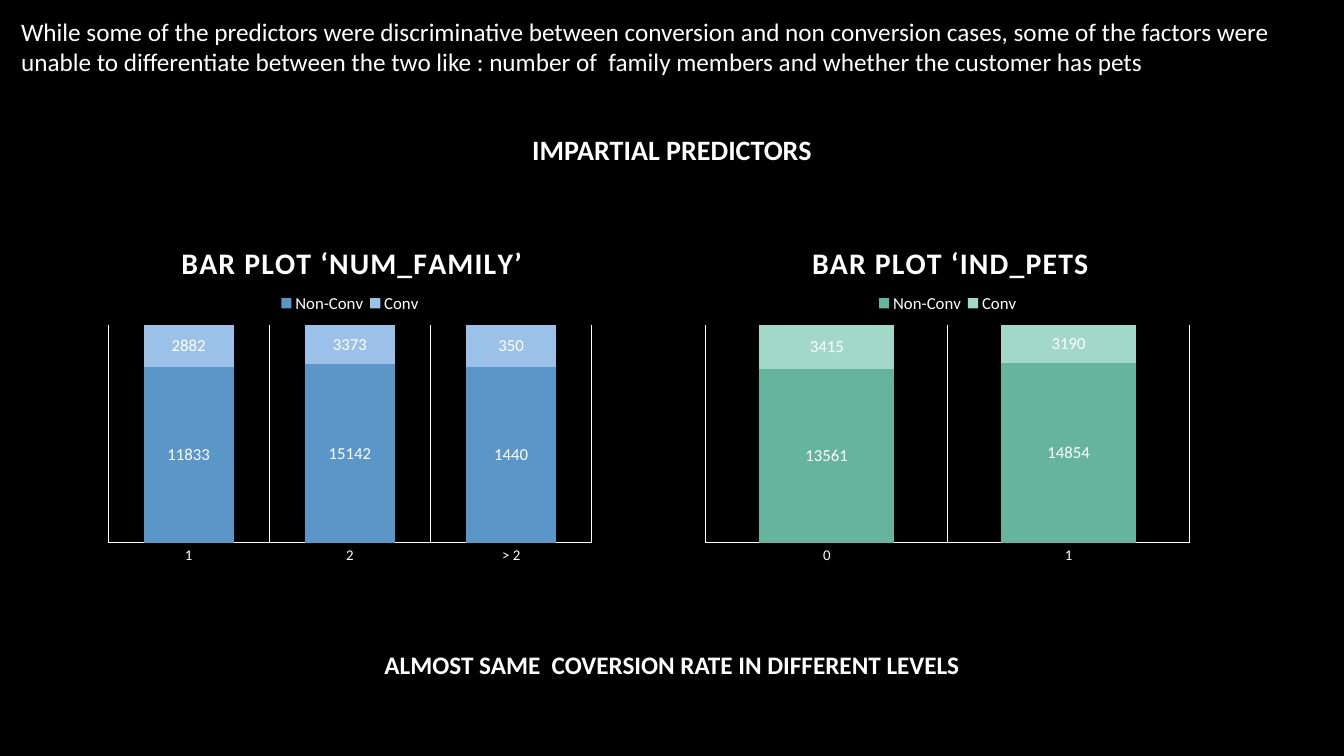
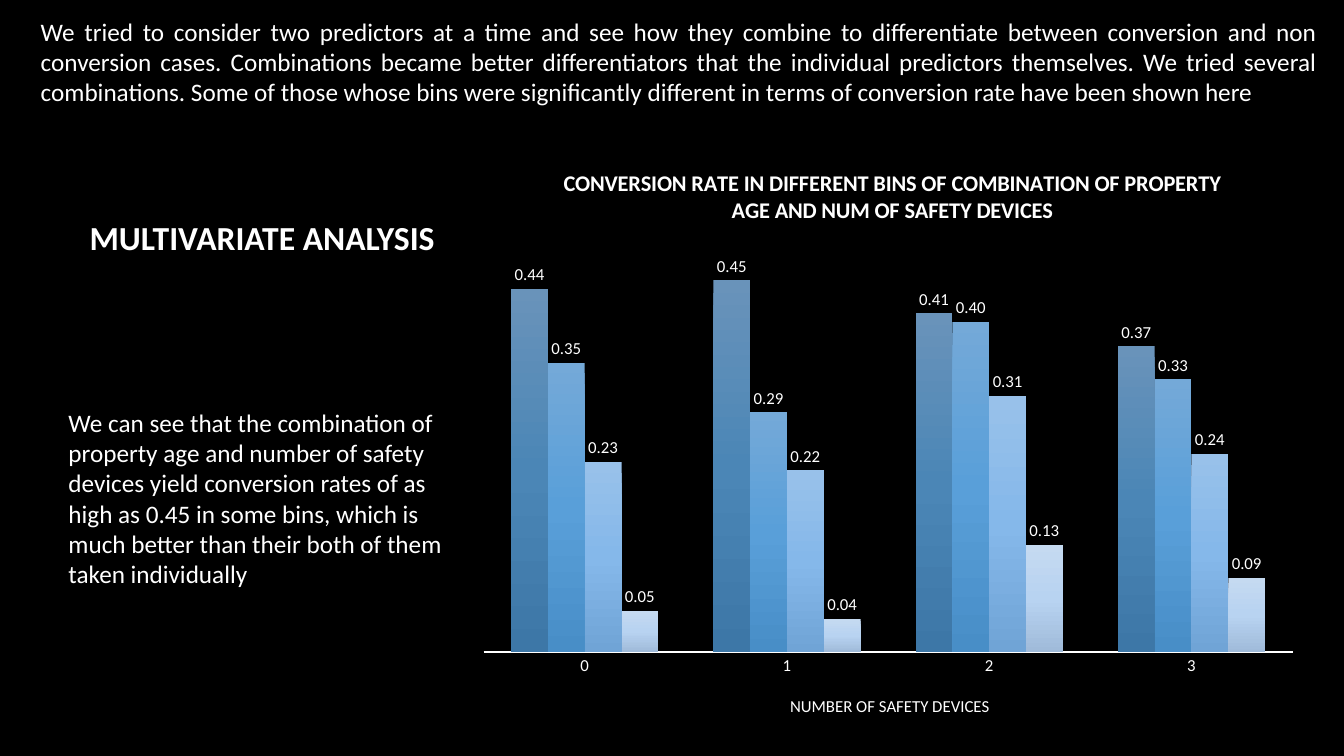
from dataclasses import dataclass

from pptx import Presentation
from pptx.chart.data import CategoryChartData
from pptx.dml.color import RGBColor
from pptx.enum.chart import XL_CHART_TYPE, XL_LABEL_POSITION, XL_LEGEND_POSITION, XL_TICK_MARK
from pptx.enum.text import PP_ALIGN
from pptx.oxml import parse_xml
from pptx.oxml.ns import nsdecls, qn
from pptx.util import Pt


@dataclass(frozen=True)
class Theme:
    font: str = "Calibri"
    back: str = "000000"
    text: str = "FFFFFF"
    blues: tuple = ("5A96C8", "9CC1E8")
    greens: tuple = ("66B49E", "A2D8C7")
    gradients: tuple = (
        ("6993BA", "4B86B6", "3D77A7"),
        ("74A9D8", "599FD9", "488EC7"),
        ("98C1EA", "85B8EA", "70A4D6"),
        ("C5DAF1", "B8D3F1", "A0BBDA"),
    )
    heading: float = 24
    subheading: float = 20
    body: float = 18
    plot_title: float = 21.3
    rate_title: float = 16
    label: float = 12
    level: float = 10.6


T = Theme()


def rgb(value):
    return RGBColor.from_string(value)


def style(font, size, bold=False):
    font.name = T.font
    font.size = Pt(size)
    font.bold = bold
    font.color.rgb = rgb(T.text)


def new_slide(prs):
    s = prs.slides.add_slide(prs.slide_layouts[6])
    s.background.fill.solid()
    s.background.fill.fore_color.rgb = rgb(T.back)
    return s


def add_text(s, box, text, size=T.body, bold=False, align=PP_ALIGN.LEFT):
    tf = s.shapes.add_textbox(*map(Pt, box)).text_frame
    tf.word_wrap = True
    write(tf, text, size, bold).alignment = align


def write(tf, text, size, bold=False):
    p = tf.paragraphs[0]
    r = p.add_run()
    r.text = text
    style(r.font, size, bold)
    return p


def place(part, after, x, y, w=None, h=None):
    """Give a chart part a manual layout, in fractions of the chart, after the named child."""
    for old in part.findall(qn("c:layout")):
        part.remove(old)
    inner = '<c:layoutTarget val="inner"/>' if after is None else ""
    sizes = "" if w is None else f'<c:w val="{w}"/><c:h val="{h}"/>'
    layout = parse_xml(
        f'<c:layout {nsdecls("c")}><c:manualLayout>{inner}<c:xMode val="edge"/>'
        f'<c:yMode val="edge"/><c:x val="{x}"/><c:y val="{y}"/>{sizes}'
        "</c:manualLayout></c:layout>"
    )
    if after is None:
        part.insert(0, layout)
    else:
        part.find(qn(after)).addnext(layout)


def add_title(owner, text, size, bold, x, y):
    """Title a chart or an axis at a fixed place and return its paragraph."""
    p = write(owner.text_frame, text, size, bold)
    place(owner._element, "c:tx", x, y)
    return p


def fill_gradient(series, colors):
    stops = "".join(
        f'<a:gs pos="{i * 50000}"><a:srgbClr val="{c}"/></a:gs>' for i, c in enumerate(colors)
    )
    series._element.get_or_add_spPr().insert(0, parse_xml(
        f'<a:gradFill {nsdecls("a")} rotWithShape="1"><a:gsLst>{stops}</a:gsLst>'
        '<a:lin ang="5400000" scaled="0"/></a:gradFill>'
    ))


def add_columns(s, box, kind, cats, rows, colors, gap, number_format, position, plot_area):
    """Add a column chart with labelled series and a bare category axis."""
    data = CategoryChartData(number_format=number_format)
    data.categories = cats
    for name, values in rows:
        data.add_series(name, values)
    chart = s.shapes.add_chart(kind, *map(Pt, box), data).chart
    style(chart.font, T.label)
    chart.has_legend = False
    place(chart._chartSpace.chart.plotArea, None, *plot_area)

    plot = chart.plots[0]
    plot.vary_by_categories = False
    plot.gap_width = gap
    for series, color in zip(plot.series, colors):
        series.invert_if_negative = False
        if isinstance(color, tuple):
            fill_gradient(series, color)
        else:
            series.format.fill.solid()
            series.format.fill.fore_color.rgb = rgb(color)
        labels = series.data_labels
        labels.show_value = True
        labels.number_format = number_format
        labels.number_format_is_linked = False
        labels.position = position
        style(labels.font, T.label)

    chart.value_axis.visible = False
    chart.value_axis.has_major_gridlines = False
    axis = chart.category_axis
    axis.major_tick_mark = axis.minor_tick_mark = XL_TICK_MARK.NONE
    axis.format.line.color.rgb = rgb(T.text)
    axis.format.line.width = Pt(0.75)
    style(axis.tick_labels.font, T.label)
    return chart


def bar_plot(s, box, title, title_x, cats, non_conv, conv, colors):
    chart = add_columns(
        s, box, XL_CHART_TYPE.COLUMN_STACKED_100, cats,
        [("Non-Conv", non_conv), ("Conv", conv)], colors, 79, "General",
        XL_LABEL_POSITION.CENTER, (0.02, 0.305, 0.96, 0.61),
    )
    chart.plots[0].overlap = 100
    p = add_title(chart.chart_title, title, T.plot_title, True, title_x, 0.06)
    p.runs[0].font._element.set("spc", "100")
    chart.has_legend = True
    chart.legend.position = XL_LEGEND_POSITION.TOP
    chart.legend.include_in_layout = False
    style(chart.legend.font, T.label)
    place(chart.legend._element, "c:legendPos", 0.35, 0.21, 0.3, 0.07)
    axis = chart.category_axis
    style(axis.tick_labels.font, T.level)
    axis.has_major_gridlines = True
    axis.major_gridlines.format.line.color.rgb = rgb(T.text)
    axis.major_gridlines.format.line.width = Pt(0.75)


def rate_chart(s, box):
    rates = [
        (0.44, 0.45, 0.41, 0.37),
        (0.35, 0.29, 0.40, 0.33),
        (0.23, 0.22, 0.31, 0.24),
        (0.05, 0.04, 0.13, 0.09),
    ]
    rows = [(f"Series {i}", values) for i, values in enumerate(rates, 1)]
    chart = add_columns(
        s, box, XL_CHART_TYPE.COLUMN_CLUSTERED, ["0", "1", "2", "3"], rows,
        T.gradients, 150, "#,##0.00", XL_LABEL_POSITION.OUTSIDE_END,
        (0.02, 0.163, 0.96, 0.7),
    )
    chart.plots[0].overlap = 0
    chart.value_axis.minimum_scale = 0
    chart.value_axis.maximum_scale = 0.5
    chart.category_axis.format.line.width = Pt(1)
    add_title(
        chart.chart_title,
        "CONVERSION RATE IN DIFFERENT BINS OF COMBINATION OF PROPERTY AGE AND NUM OF SAFETY DEVICES",
        T.rate_title, True, 0.11, 0.035,
    )
    add_title(chart.category_axis.axis_title, "NUMBER OF SAFETY DEVICES",
              T.label, False, 0.38, 0.93)


def impartial_predictors(prs):
    s = new_slide(prs)
    add_text(s, (8, 8, 941, 51),
             "While some of the predictors were discriminative between conversion and non conversion "
             "cases, some of the factors were unable to differentiate between the two like : number "
             "of  family members and whether the customer has pets")
    add_text(s, (338, 91, 284, 32), "IMPARTIAL PREDICTORS", T.subheading, True, PP_ALIGN.CENTER)
    top, width, height = 154, 360, 255.6
    bar_plot(s, (70, top, width, height), "BAR PLOT ‘NUM_FAMILY’", 0.155,
             ["1", "2", "> 2"], (11833, 15142, 1440), (2882, 3373, 350), T.blues)
    bar_plot(s, (497, top, width, height), "BAR PLOT ‘IND_PETS", 0.22,
             ["0", "1"], (13561, 14854), (3415, 3190), T.greens)
    add_text(s, (129, 460, 702, 29), "ALMOST SAME  COVERSION RATE IN DIFFERENT LEVELS",
             bold=True, align=PP_ALIGN.CENTER)


def multivariate_analysis(prs):
    s = new_slide(prs)
    add_text(s, (22, 8, 926, 73),
             "We tried to consider two predictors at a time and see how they combine to differentiate "
             "between conversion and non conversion cases. Combinations became better differentiators "
             "that the individual predictors themselves. We tried several combinations. Some of those "
             "whose bins were significantly different in terms of conversion rate have been shown here",
             align=PP_ALIGN.JUSTIFY)
    rate_chart(s, (333.4, 102.2, 602, 421.2))
    add_text(s, (45.4, 151.2, 283.7, 65.5), "MULTIVARIATE ANALYSIS", T.heading, True,
             PP_ALIGN.CENTER)
    add_text(s, (41.8, 287.3, 291.6, 138.2),
             "We can see that the combination of property age and number of safety devices yield "
             "conversion rates of as high as 0.45 in some bins, which is much better than their both "
             "of them taken individually")


def main():
    prs = Presentation()
    prs.slide_width, prs.slide_height = Pt(960), Pt(540)
    impartial_predictors(prs)
    multivariate_analysis(prs)
    prs.save("out.pptx")


if __name__ == "__main__":
    main()
